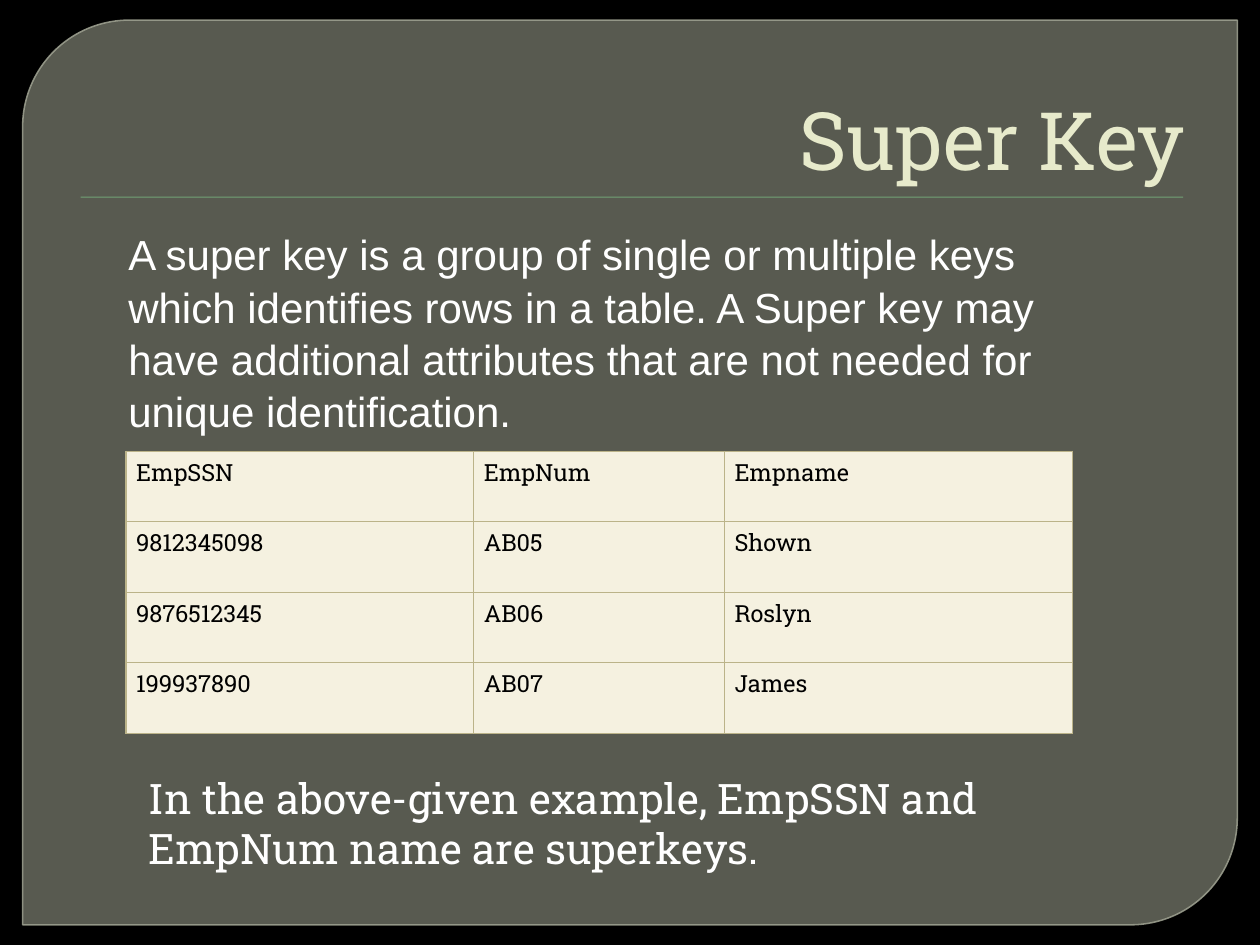
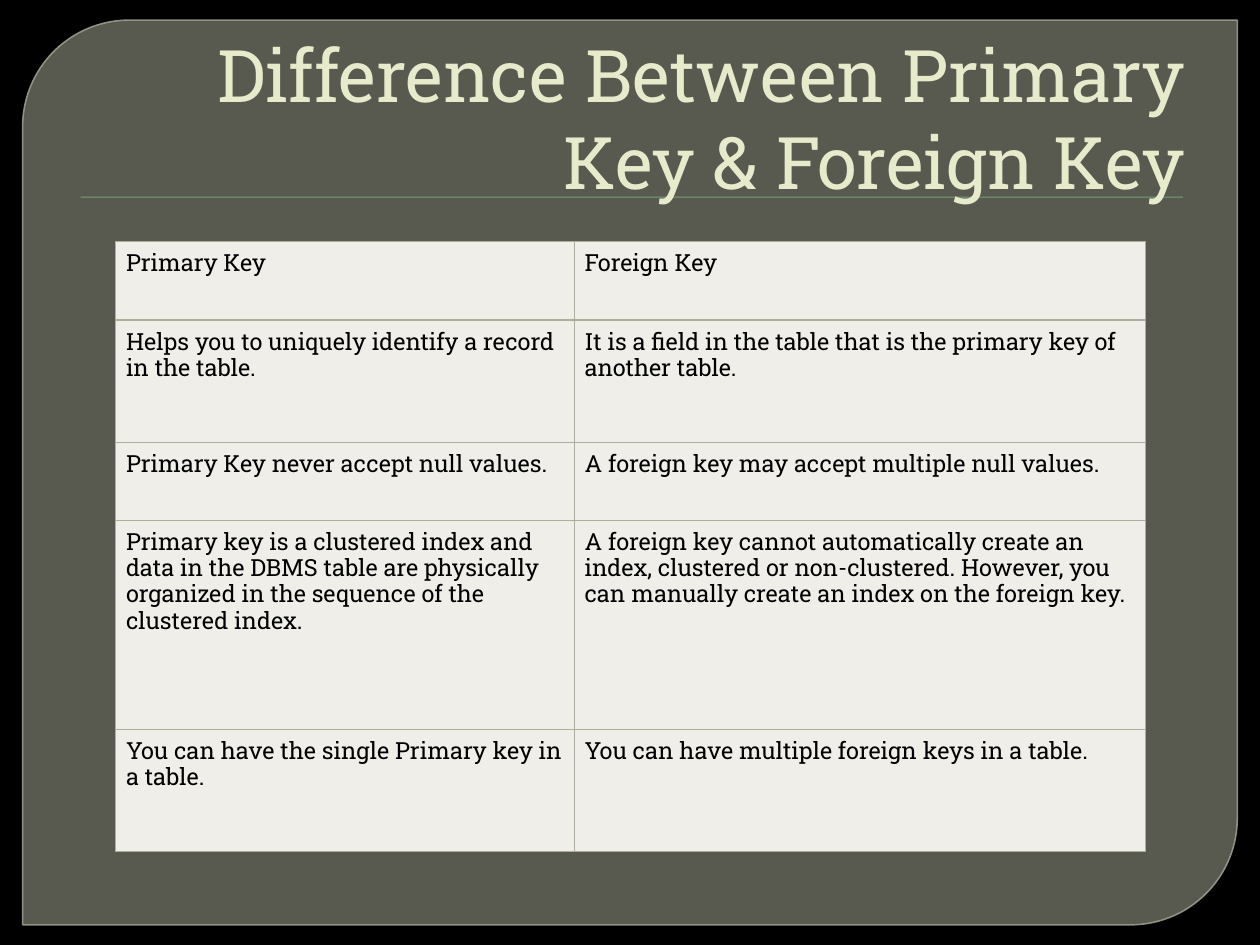
"""Build two slides about database keys on a shared dark panel."""
import pptx
import pptx.util
import pptx.oxml
import pptx.dml.color
import pptx.enum.shapes
import pptx.enum.text

Inches, Pt = pptx.util.Inches, pptx.util.Pt
Color = pptx.dml.color.RGBColor.from_string
Kind = pptx.enum.shapes.MSO_SHAPE
Text = pptx.enum.text
NS = 'xmlns:a="http://schemas.openxmlformats.org/drawingml/2006/main"'
HEX = {
    "back": "000000", "panel": "888B7B", "edge": "9DA090", "rule": "72A376",
    "title": "E7EACB", "body": "FFFFFF", "ink": "000000",
    "cream": "F5F1E0", "sand": "BBB389", "pale": "EFEEE9", "stone": "AEAC9F",
}
SLAB, SANS = "Roboto Slab", "Arial"
PAD = dict.fromkeys(
    ("margin_left", "margin_top", "margin_right", "margin_bottom"), Inches(0.08))
HEAD = {"alignment": Text.PP_ALIGN.RIGHT}
CELL = {"line_spacing": Pt(15), "space_after": Pt(15)}

SLIDES = [
    {
        "title": ("Super Key", (0.5, 0.28, 9, 1.25), 46),
        "texts": [
            ("A super key is a group of single or multiple keys which identifies "
             "rows in a table. A Super key may have additional attributes that "
             "are not needed for unique identification.",
             (0.92, 1.75, 8.17, 1.72), SANS, {"line_spacing": 1.04}),
            ("In the above-given example, EmpSSN and EmpNum name are superkeys.",
             (1.08, 6.08, 7.58, 0.91), SLAB, {}),
        ],
        "table": {
            "at": (1, 3.58), "cols": (2.76, 1.99, 2.76), "rows": (0.56,) * 4,
            "fill": "cream", "edge": "sand",
            "data": [
                ("EmpSSN", "EmpNum", "Empname"),
                ("9812345098", "AB05", "Shown"),
                ("9876512345", "AB06", "Roslyn"),
                ("199937890", "AB07", "James"),
            ],
        },
    },
    {
        "title": ("Difference Between Primary Key & Foreign Key",
                  (0.5, 0.42, 9, 1.25), 41.4),
        "texts": [],
        "table": {
            "at": (0.92, 1.92), "cols": (3.64, 4.53),
            "rows": (0.62, 0.97, 0.62, 1.66, 0.97),
            "fill": "pale", "edge": "stone",
            "data": [
                ("Primary Key", "Foreign Key"),
                ("Helps you to uniquely identify a record in the table.",
                 "It is a field in the table that is the primary key of another "
                 "table."),
                ("Primary Key never accept null values.",
                 "A foreign key may accept multiple null values."),
                ("Primary key is a clustered index and data in the DBMS table "
                 "are physically organized in the sequence of the clustered index.",
                 "A foreign key cannot automatically create an index, clustered "
                 "or non-clustered. However, you can manually create an index on "
                 "the foreign key."),
                ("You can have the single Primary key in a table.",
                 "You can have multiple foreign keys in a table."),
            ],
        },
    },
]


def apply(item, form):
    for name, value in form.items():
        setattr(item, name, value)


def paint(fill, tone, alpha=None):
    fill.solid()
    fill.fore_color.rgb = Color(HEX[tone])
    if alpha:
        node = fill.fore_color._xFill[0]
        node.append(pptx.oxml.parse_xml(f'<a:alpha {NS} val="{alpha * 1000}"/>'))


def write(frame, words, font, size, tone, form):
    para = frame.paragraphs[0]
    apply(para, form)
    run = para.add_run()
    run.text = words
    apply(run.font, {"name": font, "size": Pt(size)})
    run.font.color.rgb = Color(HEX[tone])


def add_text(slide, words, box, font, size, tone, form, anchor):
    frame = slide.shapes.add_textbox(*map(Inches, box)).text_frame
    apply(frame, {"word_wrap": True, "vertical_anchor": anchor})
    write(frame, words, font, size, tone, form)


def add_base(slide):
    paint(slide.background.fill, "back")
    panel = slide.shapes.add_shape(
        Kind.ROUND_2_DIAG_RECTANGLE, *map(Inches, (0.18, 0.16, 9.64, 7.18)))
    panel.adjustments[0], panel.adjustments[1] = 0.118, 0
    panel.shadow.inherit = False
    paint(panel.fill, "panel", 65)
    paint(panel.line.fill, "edge", 88)
    panel.line.width = Pt(0.87)
    rule = slide.shapes.add_shape(
        Kind.RECTANGLE, *map(Inches, (0.64, 1.56, 8.75, 0.01)))
    paint(rule.fill, "rule")
    rule.line.fill.background()
    rule._element.spPr.append(pptx.oxml.parse_xml(
        f'<a:effectLst {NS}><a:outerShdw blurRad="12700" dist="12700" '
        'dir="5400000"><a:srgbClr val="000000"><a:alpha val="75000"/>'
        '</a:srgbClr></a:outerShdw></a:effectLst>'))


def add_grid(slide, at, cols, rows, fill, edge, data):
    box = (*at, sum(cols), sum(rows))
    grid = slide.shapes.add_table(len(rows), len(cols), *map(Inches, box)).table
    apply(grid, {"first_row": False, "horz_banding": False})
    for col, width in zip(grid.columns, cols):
        col.width = Inches(width)
    for row, high, line in zip(grid.rows, rows, data):
        row.height = Inches(high)
        for cell, words in zip(row.cells, line):
            apply(cell, PAD)
            paint(cell.fill, fill)
            write(cell.text_frame, words, SLAB, 13.5, "ink", CELL)
            props = cell._tc.get_or_add_tcPr()
            for spot, side in enumerate("LRTB"):
                props.insert(spot, pptx.oxml.parse_xml(
                    f'<a:ln{side} {NS} w="9525"><a:solidFill>'
                    f'<a:srgbClr val="{HEX[edge]}"/></a:solidFill></a:ln{side}>'))


deck = pptx.Presentation()
apply(deck, {"slide_width": Inches(10), "slide_height": Inches(7.5)})
for page in SLIDES:
    slide = deck.slides.add_slide(deck.slide_layouts[6])
    add_base(slide)
    words, box, size = page["title"]
    add_text(slide, words, box, SLAB, size, "title", HEAD, Text.MSO_ANCHOR.BOTTOM)
    for words, box, font, form in page["texts"]:
        add_text(slide, words, box, font, 24, "body", form, Text.MSO_ANCHOR.TOP)
    add_grid(slide, **page["table"])
deck.save("out.pptx")
